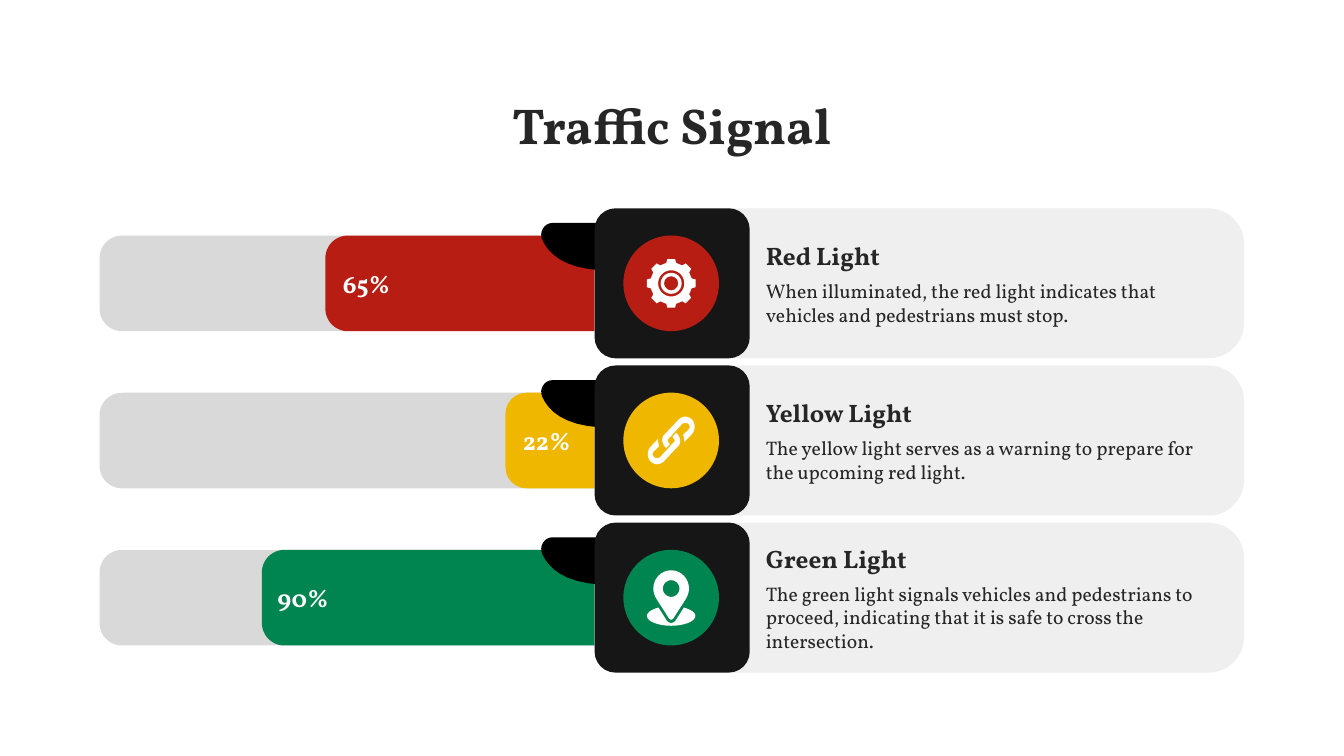
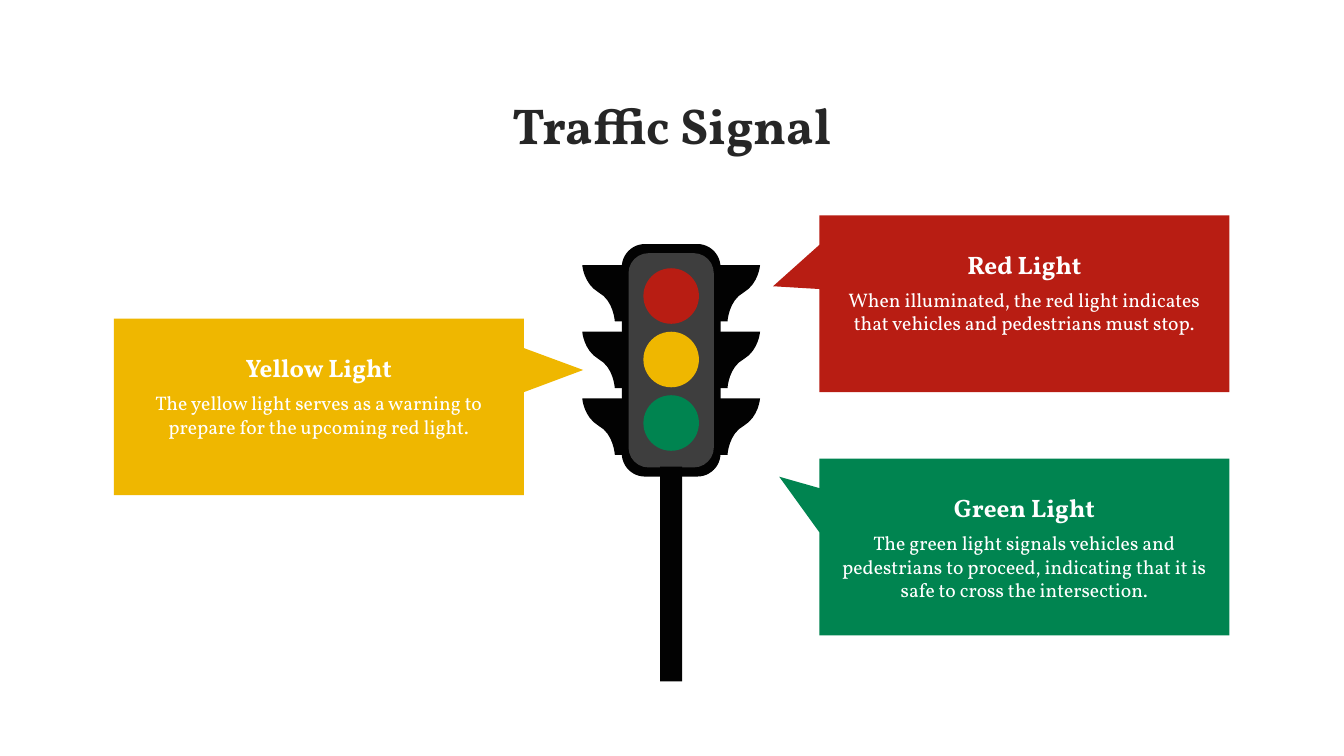
"""Build two slides on the lights of a traffic signal."""
from dataclasses import dataclass
from math import cos, radians, sin

from pptx import Presentation
from pptx.dml.color import RGBColor as Rgb
from pptx.enum.shapes import MSO_SHAPE as Kind
from pptx.enum.text import MSO_ANCHOR as Anchor, PP_ALIGN as Align
from pptx.util import Cm, Pt


@dataclass(frozen=True)
class Theme:
    """Colours, font and type sizes of the deck."""
    font: str = "Vollkorn"
    ink: str = "262626"
    white: str = "FFFFFF"
    panel: str = "EFEFEF"
    track: str = "D9D9D9"
    tile: str = "161616"
    hood: str = "000000"
    case: str = "020202"
    face: str = "3E3E3E"
    red: str = "B81D13"
    yellow: str = "EFB700"
    green: str = "008450"
    title: int = 36
    head: int = 18
    body: int = 14


@dataclass(frozen=True)
class Light:
    """One light: its name, colour, note, share and bar length in cm."""
    name: str
    color: str
    note: str
    share: str
    bar: float


LOOK = Theme()
WIDE, HIGH = 33.87, 19.05
MID = WIDE / 2
LIGHTS = (
    Light("Red Light", LOOK.red, "When illuminated, the red light indicates that "
          "vehicles and pedestrians must stop.", "65%", 6.78),
    Light("Yellow Light", LOOK.yellow, "The yellow light serves as a warning to "
          "prepare for the upcoming red light.", "22%", 2.24),
    Light("Green Light", LOOK.green, "The green light signals vehicles and "
          "pedestrians to proceed, indicating that it is safe to cross the "
          "intersection.", "90%", 8.38),
)
HOOD = ((-1.22, 0), (-1.42, 0, -1.57, .23, -1.47, .43),
        (-1.32, .76, -.94, 1.14, 0, 1.19), (0, 0))
VISOR = ((1.19, 0), (1.19, 1.42), (1.42, 1.42),
         (1.42, 1.42, 1.45, .89, 1.83, .69), (2.21, .46, 2.24, 0, 2.24, 0))
LINK = ((.13, -.19), (.03, -.09), (.05, -.09, .05, -.09, .05, -.06),
        (.1, -.04, .1, .04, .05, .06), (-.28, .42),
        (-.3, .44, -.33, .44, -.36, .44), (-.38, .44, -.41, .44, -.43, .42),
        (-.48, .37, -.48, .32, -.43, .27), (-.3, .14),
        (-.33, .09, -.33, .01, -.33, -.04), (-.53, .17),
        (-.61, .27, -.61, .42, -.53, .52), (-.48, .57, -.41, .6, -.36, .6),
        (-.3, .6, -.23, .57, -.18, .52), (.15, .17),
        (.23, .11, .25, .01, .2, -.09), (.18, -.14, .15, -.17, .13, -.19))
PIN = ((0, -.69), (-.25, -.69, -.45, -.48, -.45, -.23),
       (-.45, -.15, -.42, -.05, -.37, .03), (-.05, .53),
       (-.03, .56, .03, .56, .05, .53), (.37, .03),
       (.42, -.05, .45, -.15, .45, -.23), (.45, -.48, .25, -.69, 0, -.69))
BASE = ((-.32, .25), (-.5, .3, -.61, .38, -.61, .46),
        (-.61, .61, -.3, .71, 0, .71), (.3, .71, .61, .61, .61, .46),
        (.61, .38, .5, .3, .32, .25), (.11, .58),
        (.08, .62, .03, .64, 0, .64), (-.03, .64, -.08, .62, -.11, .58))


def paint(shape, color):
    """Give a shape a flat fill with no line or shadow."""
    shape.shadow.inherit = False
    shape.fill.solid()
    shape.fill.fore_color.rgb = Rgb.from_string(color)
    shape.line.fill.background()


def block(slide, kind, x, y, w, h, color, turn=0, adjust=()):
    """Add a preset shape that covers the given box once turned."""
    if turn % 180:
        x, y, w, h = x + (w - h) / 2, y + (h - w) / 2, h, w
    shape = slide.shapes.add_shape(kind, Cm(x), Cm(y), Cm(w), Cm(h))
    shape.rotation = turn
    for i, value in enumerate(adjust):
        shape.adjustments[i] = value
    paint(shape, color)


def disc(slide, x, y, size, color, kind=Kind.OVAL, adjust=()):
    """Add a round shape about a centre."""
    block(slide, kind, x - size / 2, y - size / 2, size, size, color, adjust=adjust)


def polar(spots, x=0, y=0):
    """Turn pairs of radius and angle into points about a centre."""
    return [(x + r * sin(radians(a)), y - r * cos(radians(a))) for r, a in spots]


def ring(size, x=0, y=0):
    """Return the points of a circle."""
    return polar([(size, a) for a in range(0, 360, 10)], x, y)


def flat(path, steps=8):
    """Turn a path of lines and cubic curves into points."""
    out = []
    for part in path:
        if len(part) == 2:
            out.append(part)
            continue
        knots = (out[-1], part[:2], part[2:4], part[4:])
        for i in range(1, steps + 1):
            t = i / steps
            mix = ((1 - t) ** 3, 3 * t * (1 - t) ** 2, 3 * t * t * (1 - t), t ** 3)
            out.append(tuple(sum(m * k[axis] for m, k in zip(mix, knots))
                             for axis in (0, 1)))
    return out


def draw(slide, paths, x, y, color, flip=(1, 1)):
    """Add a filled outline about an origin, with holes as further paths."""
    pen = None
    for path in paths:
        spots = [(Cm(x + flip[0] * a), Cm(y + flip[1] * b)) for a, b in flat(path)]
        if pen is None:
            pen = slide.shapes.build_freeform(*spots[0], scale=1.0)
        else:
            pen.move_to(*spots[0])
        pen.add_line_segments(spots[1:], close=True)
    paint(pen.convert_to_shape(), color)


def write(slide, text, x, y, w, h, size=LOOK.head, rest=LOOK.body, color=LOOK.ink,
          align=Align.LEFT, anchor=Anchor.TOP, gap=0, pad=(.25, .13)):
    """Add text with a bold first line and plain lines below it."""
    frame = slide.shapes.add_textbox(Cm(x), Cm(y), Cm(w), Cm(h)).text_frame
    frame.word_wrap = True
    frame.vertical_anchor = anchor
    frame.margin_left = frame.margin_right = Cm(pad[0])
    frame.margin_top = frame.margin_bottom = Cm(pad[1])
    for i, line in enumerate(text.split("\n")):
        para = frame.add_paragraph() if i else frame.paragraphs[0]
        para.alignment = align
        para.space_before = Pt(gap)
        run = para.add_run()
        run.text = line
        run.font.name = LOOK.font
        run.font.size = Pt(rest if i else size)
        run.font.bold = not i
        run.font.color.rgb = Rgb.from_string(color)


def label(slide, light, x, y, w, h, **form):
    """Write the name and note of a light."""
    write(slide, f"{light.name}\n{light.note}", x, y, w, h, gap=6, **form)


def gear(slide, x, y):
    """Draw a gear with eight teeth."""
    tooth = ((.53, -13.5), (.62, -9), (.62, 9), (.53, 13.5))
    rim = polar([(r, a + turn) for turn in range(0, 360, 45) for r, a in tooth])
    draw(slide, (rim, ring(.33)), x, y, LOOK.white)
    disc(slide, x, y, .53, LOOK.white, Kind.DONUT, (.16,))


def chain(slide, x, y):
    """Draw two links, one the half turn of the other."""
    for side in (1, -1):
        draw(slide, (LINK,), x, y, LOOK.white, (side, side))


def pin(slide, x, y):
    """Draw a map pin on its base."""
    draw(slide, (PIN, ring(.21, 0, -.23)), x, y, LOOK.white)
    draw(slide, (BASE,), x, y, LOOK.white)


def row(slide, light, icon, y):
    """Draw the bar, tile and panel of one light about a middle line."""
    tall, thin, end = 3.78, 2.41, 14.98
    trim = (.235, 0)
    block(slide, Kind.ROUND_2_SAME_RECTANGLE, 18.35, y - tall / 2, 13, tall,
          LOOK.panel, 90, trim)
    for size, color in ((12.47, LOOK.track), (light.bar, light.color)):
        block(slide, Kind.ROUND_2_SAME_RECTANGLE, end - size, y - thin / 2, size,
              thin, color, 270, trim)
    write(slide, light.share, end - light.bar, y - .48, 2.08, .96, color=LOOK.white,
          align=Align.CENTER, anchor=Anchor.MIDDLE, pad=(.25, .25))
    draw(slide, (HOOD,), 15.14, y - 1.52, LOOK.hood)
    block(slide, Kind.ROUNDED_RECTANGLE, MID - 1.95, y - tall / 2, 3.91, tall,
          LOOK.tile, adjust=(.14,))
    disc(slide, MID - .02, y, thin, light.color)
    icon(slide, MID - .02, y)
    label(slide, light, 19.05, y - 1.5, 11.71, 3, anchor=Anchor.MIDDLE)


def signal(slide):
    """Draw the signal on its pole."""
    x = MID - .02
    for w, y, h, color in ((2.49, 6.15, 5.86, LOOK.case), (2.15, 6.38, 5.4, LOOK.face)):
        block(slide, Kind.ROUNDED_RECTANGLE, x - w / 2, y, w, h, color, adjust=(.235,))
    block(slide, Kind.RECTANGLE, x - .28, 11.76, .56, 5.41, LOOK.case)
    for i, light in enumerate(LIGHTS):
        disc(slide, x, 7.46 + 1.6 * i, 1.4, light.color)
        for side in (1, -1):
            draw(slide, (VISOR,), x, 6.68 + 1.68 * i, LOOK.case, (side, 1))


def bubble(slide, light, x, y, tip):
    """Draw a callout with the text of a light."""
    w, h, span = 10.33, 4.45, 9.78
    block(slide, Kind.RECTANGULAR_CALLOUT, x, y, w, h, light.color, adjust=tip)
    label(slide, light, x + (w - span) / 2, y + .72, span, 3, color=LOOK.white,
          align=Align.CENTER)


def start(deck):
    """Add a blank slide with the shared title."""
    slide = deck.slides.add_slide(deck.slide_layouts[6])
    write(slide, "Traffic Signal", 0, 2.24, WIDE, 1.8, size=LOOK.title,
          align=Align.CENTER)
    return slide


def main():
    """Build and save the deck."""
    deck = Presentation()
    deck.slide_width, deck.slide_height = Cm(WIDE), Cm(HIGH)
    slide = start(deck)
    for i, (light, icon) in enumerate(zip(LIGHTS, (gear, chain, pin))):
        row(slide, light, icon, 7.14 + 3.96 * i)
    slide = start(deck)
    signal(slide)
    spots = ((20.65, 5.43, (-.613, -.099)), (2.87, 8.03, (.645, -.209)),
             (20.65, 11.56, (-.598, -.398)))
    for light, spot in zip(LIGHTS, spots):
        bubble(slide, light, *spot)
    deck.save("out.pptx")


main()
